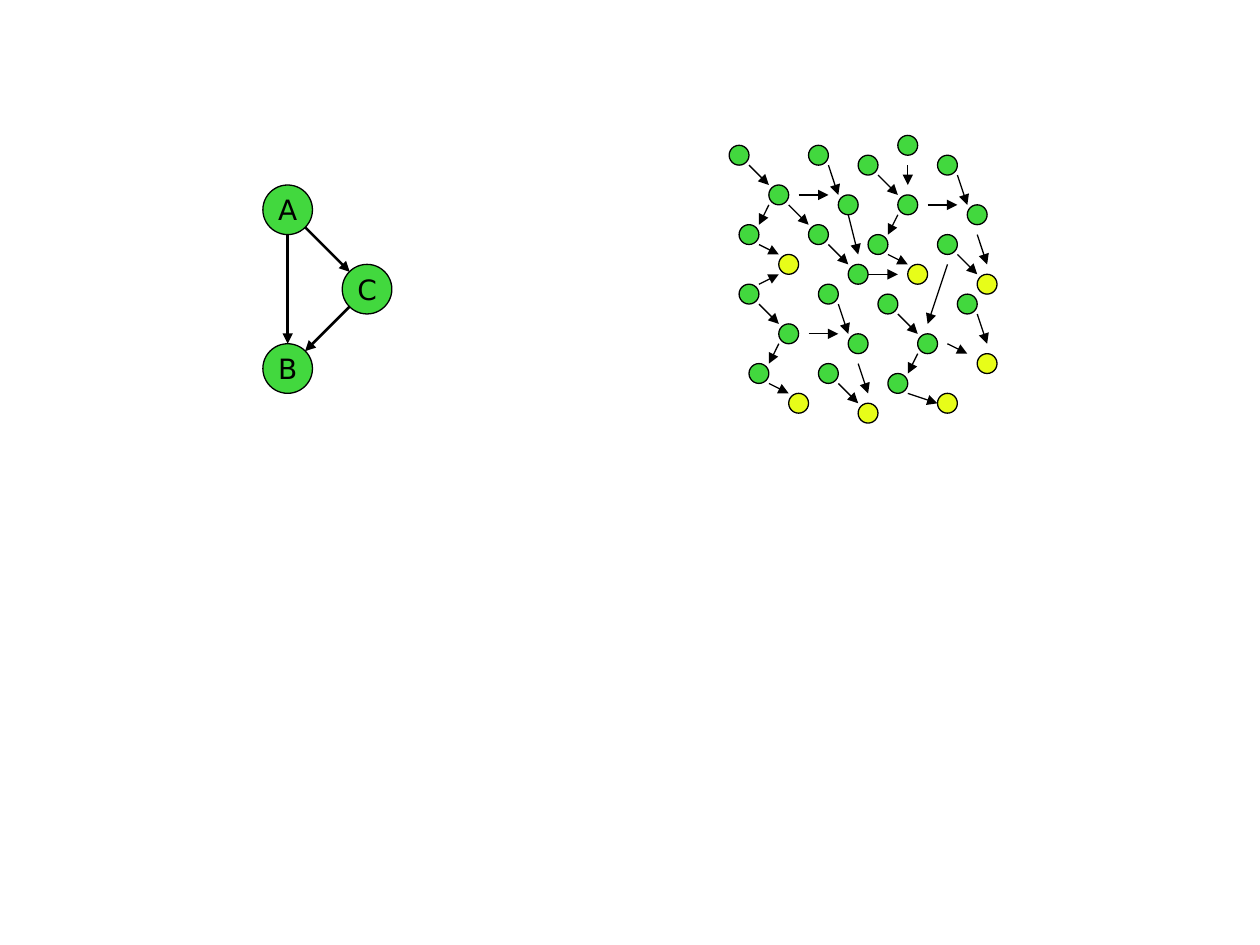
"""Build a slide with a three-node graph beside a larger directed network."""
from lxml.etree import SubElement
from pptx import Presentation
from pptx.dml.color import RGBColor
from pptx.enum.shapes import MSO_CONNECTOR, MSO_SHAPE
from pptx.enum.text import MSO_ANCHOR, PP_ALIGN
from pptx.oxml.ns import qn
from pptx.util import Cm, Pt

GREEN = RGBColor(0x42, 0xD8, 0x3E)
YELLOW = RGBColor(0xE7, 0xFD, 0x19)
BLACK = RGBColor(0, 0, 0)
LEFT, TOP, STEP = 14.7, 2.73, 0.2

prs = Presentation()
prs.slide_width, prs.slide_height = Cm(25.4), Cm(19.05)
s = prs.slides.add_slide(prs.slide_layouts[6])


def add_node(text="", *, x, y, size, fill=GREEN, font="DejaVu Sans", pt=16):
    sp = s.shapes.add_shape(MSO_SHAPE.OVAL, Cm(x), Cm(y), Cm(size), Cm(size))
    sp.shadow.inherit = False
    sp.fill.solid()
    sp.fill.fore_color.rgb = fill
    sp.line.color.rgb = BLACK
    sp.line.width = Pt(0.75)
    if text:
        tf = sp.text_frame
        tf.word_wrap = False
        tf.vertical_anchor = MSO_ANCHOR.MIDDLE
        p = tf.paragraphs[0]
        p.alignment = PP_ALIGN.CENTER
        r = p.add_run()
        r.text = text
        r.font.name = font
        r.font.size = Pt(pt)
        r.font.color.rgb = BLACK


def add_arrow(x1, y1, x2, y2, width):
    c = s.shapes.add_connector(MSO_CONNECTOR.STRAIGHT, Cm(x1), Cm(y1), Cm(x2), Cm(y2))
    c.line.color.rgb = BLACK
    c.line.width = Pt(width)
    SubElement(c.line._get_or_add_ln(), qn("a:tailEnd"), type="triangle")
    SubElement(c._element.spPr, qn("a:effectLst"))


for text, x, y in [("B", 5.3, 6.93), ("C", 6.9, 5.33), ("A", 5.3, 3.73)]:
    add_node(text, x=x, y=y, size=1)

green_nodes = [
    (0, 1), (4, 5), (8, 1), (11, 6), (1, 9), (8, 9), (12, 13),
    (1, 15), (5, 19), (9, 15), (12, 20), (2, 23), (9, 23),
    (13, 2), (17, 6), (21, 2), (24, 7), (14, 10), (21, 10),
    (15, 16), (19, 20), (23, 16), (16, 24), (17, 0),
]
yellow_nodes = [(5, 12), (6, 26), (13, 27), (18, 13), (25, 14), (21, 26), (25, 22)]
for nodes, fill in [(green_nodes, GREEN), (yellow_nodes, YELLOW)]:
    for col, row in nodes:
        add_node(x=LEFT + STEP * col, y=TOP + STEP * row, size=2 * STEP, fill=fill)

network_arrows = [
    (2, 3, 4, 5), (10, 3, 11, 6), (3, 11, 5, 12), (10, 11, 12, 13),
    (4, 7, 3, 9), (7, 6, 10, 6), (12, 8, 13, 12), (6, 7, 8, 9),
    (3, 17, 5, 19), (11, 17, 12, 20), (4, 25, 6, 26), (11, 25, 13, 27),
    (5, 21, 4, 23), (8, 20, 11, 20), (13, 23, 14, 26),
    (15, 4, 17, 6), (23, 4, 24, 7), (16, 12, 18, 13), (23, 12, 25, 14),
    (17, 8, 16, 10), (20, 7, 23, 7), (25, 10, 26, 13),
    (17, 18, 19, 20), (25, 18, 26, 21), (18, 26, 21, 27),
    (19, 22, 18, 24), (22, 21, 24, 22),
    (3, 15, 5, 14), (14, 14, 17, 14), (22, 13, 20, 19), (18, 3, 18, 5),
]
for c1, r1, c2, r2 in network_arrows:
    add_arrow(LEFT + STEP * c1, TOP + STEP * r1, LEFT + STEP * c2, TOP + STEP * r2, 0.75)

for ends in [(5.8, 4.73, 5.8, 6.93), (7.05, 6.18, 6.15, 7.08), (6.15, 4.58, 7.05, 5.48)]:
    add_arrow(*ends, 1.5)

prs.save("out.pptx")
